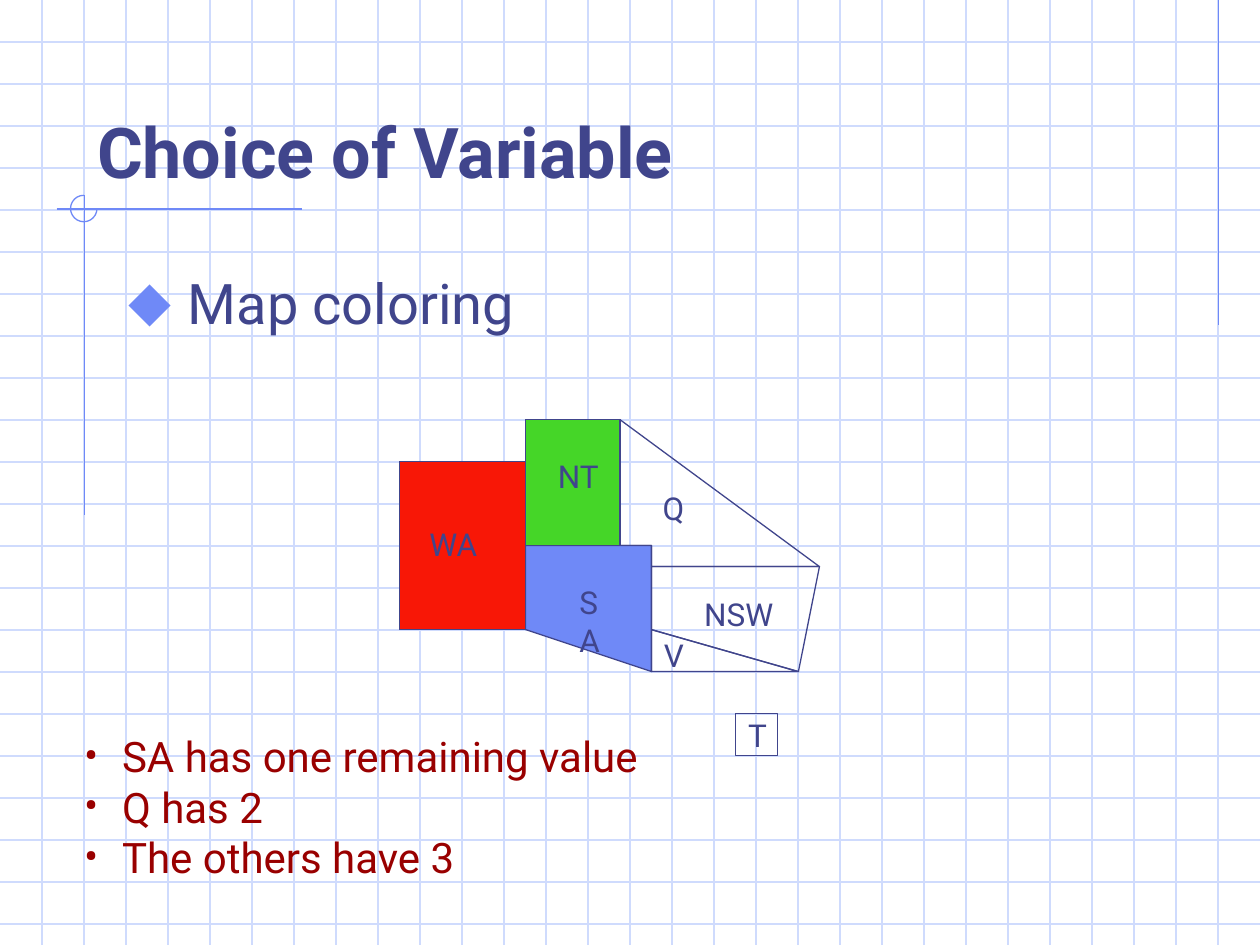
from lxml import etree
from pptx import Presentation
from pptx.dml.color import RGBColor
from pptx.enum.shapes import MSO_CONNECTOR, MSO_SHAPE
from pptx.enum.text import MSO_ANCHOR, MSO_AUTO_SIZE, PP_ALIGN
from pptx.oxml.ns import qn
from pptx.util import Inches, Pt

STRAIGHT = MSO_CONNECTOR.STRAIGHT
RECTANGLE, ARC = MSO_SHAPE.RECTANGLE, MSO_SHAPE.ARC
TOP, BOTTOM = MSO_ANCHOR.TOP, MSO_ANCHOR.BOTTOM
LEFT = PP_ALIGN.LEFT
NO_AUTOFIT = MSO_AUTO_SIZE.NONE

FONT = "Roboto"
INK = RGBColor(0x40, 0x45, 0x8C)
ACCENT = RGBColor(0x6F, 0x89, 0xF7)
GRID = RGBColor(0xCF, 0xDB, 0xFD)
RED = RGBColor(0xF8, 0x17, 0x06)
GREEN = RGBColor(0x45, 0xD6, 0x28)
DARK_RED = RGBColor(0x99, 0x00, 0x00)

WIDTH, HEIGHT = 10, 7.5
CELL = 1 / 3

# Corners in grid cells from the top left of the map
REGIONS = [
    ([(6, 3.5), (6, 3), (5.25, 3), (5.25, 0), (10, 3.5)], None),  # Q
    ([(6, 3.5), (6, 5), (9.5, 6), (10, 3.5)], None),  # NSW
    ([(6, 5), (6, 6), (9.5, 6)], None),  # V
    ([(3, 3), (6, 3), (6, 6), (3, 5)], ACCENT),  # SA
]
# Left, top, width and height in grid cells
BLOCKS = [
    ((0, 1, 3, 4), RED),  # WA
    ((3, 0, 2.25, 3), GREEN),  # NT
    ((8, 7, 1, 1), None),  # T
]
# Left, top and width in inches from the top left of the map
LABELS = [
    ("Q", 1.99, 0.5, 0.39), ("NSW", 2.32, 1.34, 0.76), ("V", 2, 1.67, 0.35),
    ("T", 2.67, 2.3, 0.34), ("WA", 0.14, 0.79, 0.59), ("NT", 1.16, 0.25, 0.53),
    ("SA", 1.33, 1.25, 0.49),
]


def add_line(slide, x1, y1, x2, y2, color):
    s = slide.shapes.add_connector(
        STRAIGHT, Inches(x1), Inches(y1), Inches(x2), Inches(y2))
    s.line.color.rgb = color
    s.line.width = Pt(0.75)
    etree.SubElement(s._element.spPr, qn("a:effectLst"))


def style_shape(s, line, fill=None):
    s.shadow.inherit = False
    s.line.color.rgb = line
    s.line.width = Pt(0.75)
    if fill is None:
        s.fill.background()
    else:
        s.fill.solid()
        s.fill.fore_color.rgb = fill


def style_text(p, size, color, bold=False):
    p.alignment = LEFT
    for r in p.runs:
        r.font.name = FONT
        r.font.size = Pt(size)
        r.font.bold = bold
        r.font.color.rgb = color


def add_bullet(p, char, color, indent, percent=100):
    pPr = p._p.get_or_add_pPr()
    pPr.set("marL", str(Inches(indent)))
    pPr.set("indent", str(-Inches(indent)))
    clr = etree.SubElement(pPr, qn("a:buClr"))
    etree.SubElement(clr, qn("a:srgbClr"), val=str(color))
    etree.SubElement(pPr, qn("a:buSzPct"), val=str(percent * 1000))
    etree.SubElement(pPr, qn("a:buFont"), typeface=FONT)
    etree.SubElement(pPr, qn("a:buChar"), char=char)


def place(s, left, top, width, height):
    s.left, s.top = Inches(left), Inches(top)
    s.width, s.height = Inches(width), Inches(height)


def draw_graph_paper(slide, width, height):
    for i in range(1, int(height / CELL) + 1):
        add_line(slide, 0, i * CELL, width, i * CELL, GRID)
    for i in range(1, int(width / CELL)):
        add_line(slide, i * CELL, 0, i * CELL, height, GRID)


def draw_accents(slide):
    """Draw the margin rules and the open ring where two of them cross."""
    add_line(slide, 9.67, 0, 9.67, 2.58, ACCENT)
    add_line(slide, 0.45, 1.66, 2.4, 1.66, ACCENT)
    add_line(slide, 0.67, 1.55, 0.67, 4.09, ACCENT)
    ring = slide.shapes.add_shape(
        ARC, Inches(0.56), Inches(1.55), Inches(0.21), Inches(0.21))
    ring.adjustments[0] = 0
    ring.adjustments[1] = 162  # 270 degrees
    style_shape(ring, ACCENT)


def fill_title(slide, *box):
    s = slide.shapes.title
    place(s, *box)
    tf = s.text_frame
    tf.text = "Choice of Variable"
    tf.vertical_anchor = BOTTOM
    tf.auto_size = NO_AUTOFIT
    style_text(tf.paragraphs[0], 40, INK, bold=True)


def fill_body(slide, *box):
    s = slide.placeholders[1]
    place(s, *box)
    tf = s.text_frame
    tf.text = "Map coloring"
    tf.vertical_anchor = TOP
    tf.auto_size = NO_AUTOFIT
    p = tf.paragraphs[0]
    add_bullet(p, "⬥", ACCENT, 0.47, 110)
    p.space_before = Pt(8)
    style_text(p, 32, INK)


def draw_map(slide, left, top):
    def spot(x, y):
        return Inches(left + x * CELL), Inches(top + y * CELL)

    for corners, fill in REGIONS:
        start, *others = [spot(x, y) for x, y in corners]
        builder = slide.shapes.build_freeform(*start)
        builder.add_line_segments(others, close=True)
        style_shape(builder.convert_to_shape(), INK, fill)
    for (x, y, w, h), fill in BLOCKS:
        s = slide.shapes.add_shape(
            RECTANGLE, *spot(x, y), Inches(w * CELL), Inches(h * CELL))
        style_shape(s, INK, fill)
    for name, x, y, w in LABELS:
        s = slide.shapes.add_textbox(
            Inches(left + x), Inches(top + y), Inches(w), Inches(0.4))
        tf = s.text_frame
        tf.text = name
        tf.word_wrap = name == "SA"  # its letters stack in the narrow box
        style_text(tf.paragraphs[0], 18, INK)


def add_remarks(slide, *box):
    s = slide.shapes.add_textbox(*map(Inches, box))
    tf = s.text_frame
    tf.word_wrap = True
    tf.text = "SA has one remaining value\nQ has 2\nThe others have 3"
    for p in tf.paragraphs:
        add_bullet(p, "•", DARK_RED, 0.3)
        style_text(p, 24, DARK_RED)


def build_slide(prs):
    slide = prs.slides.add_slide(prs.slide_layouts[1])
    fill_title(slide, 0.67, 0.33, 8.5, 1.25)
    fill_body(slide, 0.92, 2.08, 8.5, 4.5)
    placeholders = list(slide.placeholders)
    draw_graph_paper(slide, WIDTH, HEIGHT)
    draw_accents(slide)
    for s in placeholders:  # bring the text in front of the paper
        slide.shapes._spTree.append(s._element)
    draw_map(slide, 3.17, 3.33)
    add_remarks(slide, 0.57, 5.75, 4.75, 1.3)


def main():
    prs = Presentation()
    prs.slide_width, prs.slide_height = Inches(WIDTH), Inches(HEIGHT)
    build_slide(prs)
    prs.save("out.pptx")


if __name__ == "__main__":
    main()
